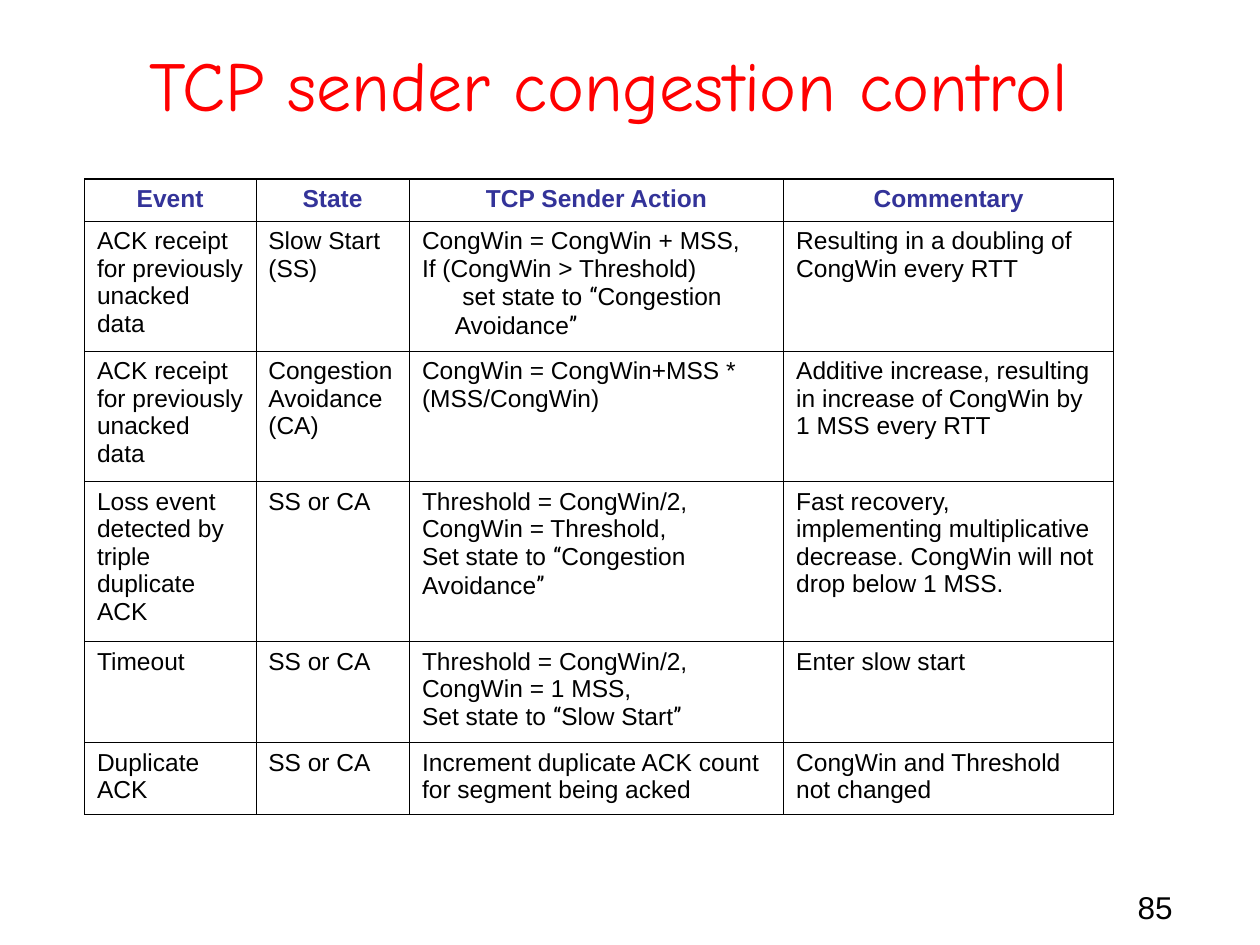
from dataclasses import dataclass
from itertools import groupby

from lxml import etree
from pptx import Presentation
from pptx.dml.color import RGBColor
from pptx.enum.text import MSO_ANCHOR, MSO_AUTO_SIZE, PP_ALIGN
from pptx.oxml.ns import qn
from pptx.util import Inches, Pt

LEFT, CENTER = PP_ALIGN.LEFT, PP_ALIGN.CENTER
MIDDLE = MSO_ANCHOR.MIDDLE
NO_AUTOFIT = MSO_AUTO_SIZE.NONE
TITLE_ONLY = 5

BODY_FONT = "Arial"
TITLE_FONT = "Comic Neue"
QUOTE_FONT = "Roboto Condensed"
BLACK, RED, INDIGO = "000000", "FF0000", "333399"

SIDE_WIDTH, ROW_WIDTH, OUTER_WIDTH = 0.34, 0.45, 0.96
COLUMN_WIDTHS = (1.36, 1.22, 2.97, 2.62)
HEADERS = ("Event", "State", "TCP Sender Action", "Commentary")


@dataclass(frozen=True)
class EventRow:
    height: float
    event: str
    state: str
    action: str
    commentary: str


EVENT_ROWS = (
    EventRow(1.03, "ACK receipt for previously unacked data", "Slow Start (SS)",
             "CongWin = CongWin + MSS,\nIf (CongWin > Threshold)\n"
             "set state to “Congestion Avoidance”",
             "Resulting in a doubling of CongWin every RTT"),
    EventRow(1.03, "ACK receipt for previously unacked data",
             "Congestion\nAvoidance (CA)",
             "CongWin = CongWin+MSS * (MSS/CongWin)",
             "Additive increase, resulting in increase of CongWin by 1 MSS every RTT"),
    EventRow(1.27, "Loss event detected by triple duplicate ACK", "SS or CA",
             "Threshold = CongWin/2,\nCongWin = Threshold,\n"
             "Set state to “Congestion Avoidance”",
             "Fast recovery, implementing multiplicative decrease. "
             "CongWin will not drop below 1 MSS."),
    EventRow(0.8, "Timeout", "SS or CA",
             "Threshold = CongWin/2,\nCongWin = 1 MSS,\nSet state to “Slow Start”",
             "Enter slow start"),
    EventRow(0.57, "Duplicate ACK", "SS or CA",
             "Increment duplicate ACK count for segment being acked",
             "CongWin and Threshold not changed"),
)


def is_quote(character: str) -> bool:
    return character in "“”"


def write_text(text_frame, text: str, *, size: float = 14, font: str = BODY_FONT,
               color: str = BLACK, bold: bool = False, align=LEFT) -> None:
    """Write one paragraph per line, with curly quotes in their own font."""
    text_frame.word_wrap = True
    for index, line in enumerate(text.split("\n")):
        paragraph = text_frame.paragraphs[0] if index == 0 else text_frame.add_paragraph()
        paragraph.alignment = align
        for quoted, characters in groupby(line, is_quote):
            run = paragraph.add_run()
            run.text = "".join(characters)
            run.font.name = QUOTE_FONT if quoted else font
            run.font.size = Pt(size)
            run.font.bold = bold
            run.font.color.rgb = RGBColor.from_string(color)


def indent_paragraph(paragraph, left: float, first_line: float) -> None:
    properties = paragraph._p.get_or_add_pPr()
    properties.set("marL", str(Inches(left)))
    properties.set("indent", str(Inches(first_line)))


def set_borders(cell, top: float, bottom: float) -> None:
    properties = cell._tc.get_or_add_tcPr()
    widths = {"lnL": SIDE_WIDTH, "lnR": SIDE_WIDTH, "lnT": top, "lnB": bottom}
    for position, (tag, width) in enumerate(widths.items()):
        line = etree.Element(qn(f"a:{tag}"), w=str(Pt(width)))
        fill = etree.SubElement(line, qn("a:solidFill"))
        etree.SubElement(fill, qn("a:srgbClr"), val=BLACK)
        properties.insert(position, line)


def add_title(slide) -> None:
    title = slide.shapes.title
    title.left, title.top = Inches(0.58), Inches(0.04)
    title.width, title.height = Inches(8.5), Inches(1.25)
    write_text(title.text_frame, "TCP sender congestion control",
               size=40, font=TITLE_FONT, color=RED, align=CENTER)
    title.text_frame.vertical_anchor = MIDDLE
    title.text_frame.auto_size = NO_AUTOFIT


def add_event_table(slide) -> None:
    heights = [0.33] + [row.height for row in EVENT_ROWS]
    contents = [HEADERS] + [(row.event, row.state, row.action, row.commentary)
                            for row in EVENT_ROWS]
    table = slide.shapes.add_table(
        len(heights), len(COLUMN_WIDTHS), Inches(0.67), Inches(1.42),
        Inches(sum(COLUMN_WIDTHS)), Inches(sum(heights))).table
    table.first_row = table.horz_banding = False
    for column, width in zip(table.columns, COLUMN_WIDTHS):
        column.width = Inches(width)

    last = len(heights) - 1
    for row_index, (height, texts) in enumerate(zip(heights, contents)):
        table.rows[row_index].height = Inches(height)
        header = row_index == 0
        for column_index, text in enumerate(texts):
            cell = table.cell(row_index, column_index)
            cell.fill.background()
            set_borders(cell, OUTER_WIDTH if header else ROW_WIDTH,
                        OUTER_WIDTH if row_index == last else ROW_WIDTH)
            write_text(cell.text_frame, text, bold=header,
                       color=INDIGO if header else BLACK,
                       align=CENTER if header else LEFT)
    slow_start_action = table.cell(1, 2).text_frame
    indent_paragraph(slow_start_action.paragraphs[-1], 0.26, 0.06)


def add_slide_number(slide) -> None:
    box = slide.shapes.add_textbox(Inches(8.93), Inches(7), Inches(0.74), Inches(0.5))
    write_text(box.text_frame, "85", size=18)


def main() -> None:
    presentation = Presentation()
    presentation.slide_width, presentation.slide_height = Inches(10), Inches(7.5)
    slide = presentation.slides.add_slide(presentation.slide_layouts[TITLE_ONLY])
    add_slide_number(slide)
    add_title(slide)
    add_event_table(slide)
    presentation.save("out.pptx")


if __name__ == "__main__":
    main()
